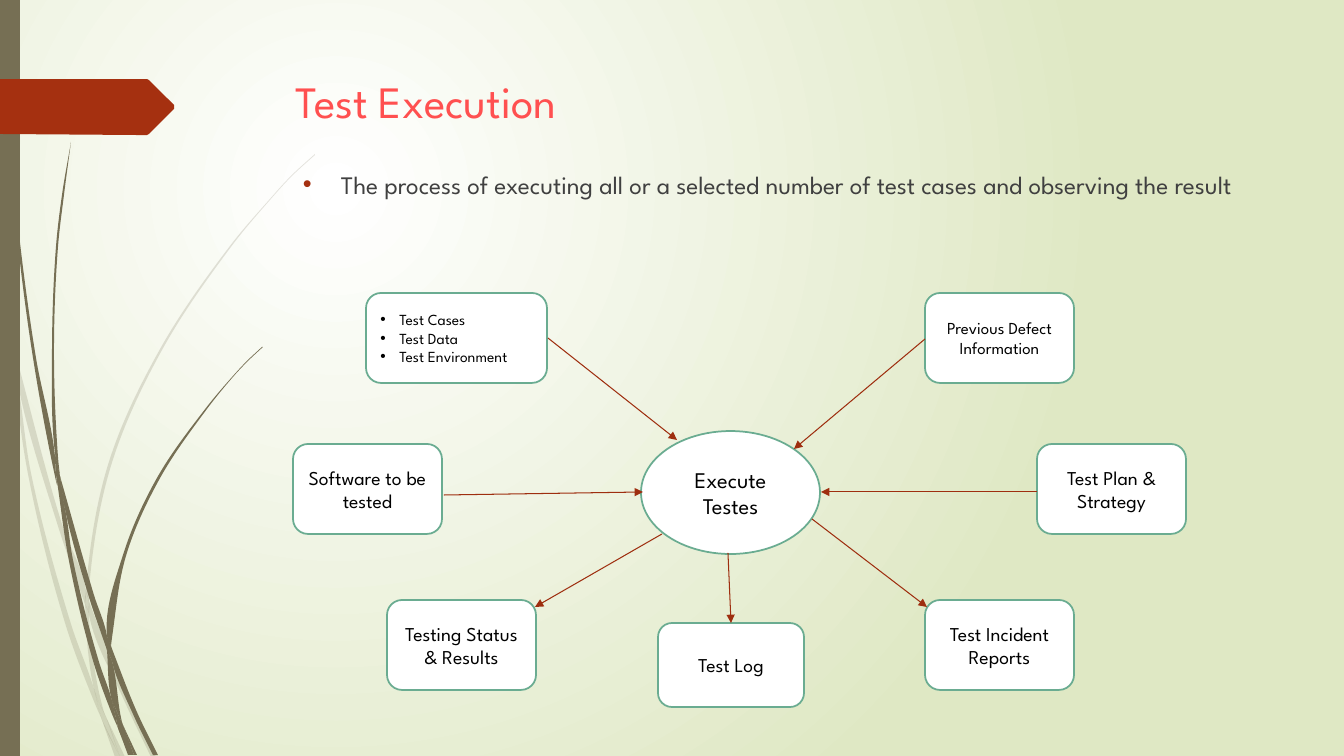
"""Build the Test Execution slide: a hub with its inputs and outputs over a background of grass stems."""
import math

import pptx
import pptx.dml.color
import pptx.enum.shapes
import pptx.enum.text
import pptx.oxml.ns
import pptx.util

PIXEL = 914400 / 100.8
FONT = "League Spartan"
COLORS = {"white": "FFFFFF", "pale": "DFE8C4", "olive": "766F54", "rust": "A53010", "title": "FF5050",
          "body": "404040", "black": "000000", "green": "6AAC91", "arrow": "9E2E0F"}
Shape = pptx.enum.shapes.MSO_SHAPE
Align = pptx.enum.text.PP_ALIGN
Anchor = pptx.enum.text.MSO_ANCHOR
qn = pptx.oxml.ns.qn
rgb = {name: pptx.dml.color.RGBColor.from_string(value) for name, value in COLORS.items()}


def paint(shape, fill, line=None):
    """Give a shape a flat fill and an optional outline."""
    shape.shadow.inherit = False
    shape.fill.solid()
    shape.fill.fore_color.rgb = rgb[fill]
    if line:
        shape.line.color.rgb = rgb[line]
        shape.line.width = pptx.util.Pt(1.25)
    else:
        shape.line.fill.background()


def write(shape, lines, size, color, align, anchor, indent=0, bullet="black"):
    """Write one paragraph per line, bulleted when an indent is given."""
    for name, value in {"word_wrap": True, "vertical_anchor": anchor}.items():
        setattr(shape.text_frame, name, value)
    for index, line in enumerate(lines):
        para = shape.text_frame.add_paragraph() if index else shape.text_frame.paragraphs[0]
        para.alignment = align
        span = para.add_run()
        span.text = line
        for name, value in {"name": FONT, "size": pptx.util.Pt(size)}.items():
            setattr(span.font, name, value)
        span.font.color.rgb = rgb[color]
        if indent:
            settings = para._p.get_or_add_pPr()
            settings.set("marL", str(round(indent * PIXEL)))
            settings.set("indent", str(round(-indent * PIXEL)))
            tint = settings.makeelement(qn("a:buClr"), {})
            tint.append(tint.makeelement(qn("a:srgbClr"), {"val": COLORS[bullet]}))
            settings.append(tint)
            settings.append(settings.makeelement(qn("a:buFont"), {"typeface": "Arial"}))
            settings.append(settings.makeelement(qn("a:buChar"), {"char": "•"}))


deck = pptx.Presentation()
deck.slide_width, deck.slide_height = round(1344 * PIXEL), round(756 * PIXEL)
page = deck.slides.add_slide(deck.slide_layouts[6])

backdrop = page.background.fill
backdrop.gradient()
for stop, position, name in zip(backdrop.gradient_stops, (0, 1), ("white", "pale")):
    stop.position = position
    stop.color.rgb = rgb[name]
linear = next(page.element.iter(qn("a:lin")))
radial = linear.makeelement(qn("a:path"), {"path": "circle"})
radial.append(radial.makeelement(
    qn("a:fillToRect"), {"l": "50000", "t": "50000", "r": "100000", "b": "100000"}))
linear.getparent().replace(linear, radial)

bar = page.shapes.add_shape(Shape.RECTANGLE, 0, 0, round(20 * PIXEL), deck.slide_height)
paint(bar, "olive")

PALE_STEMS = [
    [(11, 353), (9, 325), (0, 284), (0, 301), (10, 347)],
    [(58, 526), (85, 604), (86, 591), (62, 524), (14, 348), (17, 379)],
    [(93, 612), (89, 601), (89, 615), (124, 700), (151, 757), (156, 757), (128, 698)],
    [(120, 757), (125, 757), (106, 717)],
    [(94, 689), (71, 624), (31, 473), (17, 379), (11, 353), (28, 474), (66, 626), (93, 699),
     (102, 720), (100, 713)],
    [(85, 604), (88, 651), (94, 689), (97, 698), (106, 717), (104, 712), (92, 651), (89, 615), (89, 613)],
    [(89, 589), (111, 466), (161, 352), (231, 247), (270, 200), (292, 176), (315, 155), (315, 154),
     (291, 176), (270, 199), (230, 246), (159, 351), (108, 465), (86, 589), (86, 591), (89, 601)],
    [(102, 720), (115, 757), (120, 757)],
    [(89, 613), (89, 615), (89, 601), (86, 591), (85, 604)],
    [(97, 698), (94, 689), (100, 713), (102, 720), (120, 757), (106, 717)],
]
DARK_STEMS = [
    [(7, 111), (17, 235), (33, 358), (56, 481), (57, 485), (55, 461), (55, 457), (36, 358), (19, 234),
     (8, 110), (5, 48), (4, 0), (3, 0), (4, 48)],
    [(89, 597), (107, 650), (107, 638), (107, 636), (94, 595), (60, 476), (65, 509)],
    [(114, 654), (111, 646), (112, 661), (133, 714), (153, 755), (158, 755), (137, 712)],
    [(111, 697), (99, 662), (73, 560), (65, 509), (57, 481), (69, 561), (94, 664), (112, 714),
     (118, 728), (117, 723)],
    [(60, 476), (58, 457), (54, 352), (58, 247), (64, 195), (71, 142), (62, 195), (56, 247), (52, 352),
     (55, 453)],
    [(134, 755), (137, 755), (123, 725)],
    [(57, 481), (65, 509), (60, 476), (55, 453), (55, 457)],
    [(112, 638), (126, 556), (159, 480), (207, 409), (233, 377), (247, 362), (263, 347), (262, 347),
     (247, 361), (233, 376), (206, 408), (157, 478), (123, 555), (107, 636), (111, 646)],
    [(118, 728), (128, 755), (132, 755)],
    [(107, 650), (111, 697), (117, 712), (123, 725), (122, 722), (112, 661), (110, 656)],
    [(107, 636), (107, 638), (107, 650), (110, 656), (112, 661), (111, 646)],
    [(117, 712), (111, 697), (117, 723), (118, 728), (131, 755), (134, 755), (123, 725)],
]
TAG = [[(174, 109), (149, 134), (147, 135), (137, 135), (0, 134), (0, 79), (137, 79), (147, 79),
        (149, 80), (174, 105)]]
SMOOTH_TURN = math.radians(40)
for color, opacity, curved, outlines in [("olive", 20, True, PALE_STEMS), ("olive", 100, True, DARK_STEMS),
                                         ("rust", 100, False, TAG)]:
    for points in outlines:
        corners = [(x * PIXEL, y * PIXEL) for x, y in points + points[:1]]
        builder = page.shapes.build_freeform(*corners[0], scale=1.0)
        builder.add_line_segments(corners[1:], close=True)
        piece = builder.convert_to_shape()
        paint(piece, color)
        if opacity < 100:
            tone = next(piece.element.spPr.iter(qn("a:srgbClr")))
            tone.append(tone.makeelement(qn("a:alpha"), {"val": str(opacity * 1000)}))
        if not curved:
            continue
        count = len(points)
        headings = [math.atan2(y2 - y1, x2 - x1) for (x1, y1), (x2, y2) in zip(corners, corners[1:])]
        turns = [math.remainder(headings[i] - headings[i - 1], math.tau) for i in range(count)]
        bends = [turn / 2 if abs(turn) < SMOOTH_TURN else 0 for turn in turns]
        for i, segment in enumerate(list(piece.element.spPr.iter(qn("a:lnTo")))):
            (x1, y1), (x2, y2) = corners[i:i + 2]
            reach = math.dist((x1, y1), (x2, y2)) / 3
            leave, arrive = headings[i] - bends[i], headings[i] + bends[(i + 1) % count]
            controls = [(x1 + reach * math.cos(leave), y1 + reach * math.sin(leave)),
                        (x2 - reach * math.cos(arrive), y2 - reach * math.sin(arrive)), (x2, y2)]
            curve = segment.makeelement(qn("a:cubicBezTo"), {})
            for x, y in controls:
                curve.append(curve.makeelement(
                    qn("a:pt"), {"x": str(round(x - piece.left)), "y": str(round(y - piece.top))}))
            segment.getparent().replace(segment, curve)

title = page.shapes.add_textbox(*(round(n * PIXEL) for n in (286, 69, 983, 141)))
write(title, ["Test Execution"], 32, "title", Align.LEFT, Anchor.TOP)
body = page.shapes.add_textbox(*(round(n * PIXEL) for n in (293, 164, 975, 102)))
write(body, ["The process of executing all or a selected number of test cases and observing the result"],
      18, "body", Align.LEFT, Anchor.TOP, 38, "rust")

NODES = [
    ((641, 431, 179, 123), 16, ["Execute Testes"]),
    ((658, 623, 146, 84), 14, ["Test Log"]),
    ((925, 600, 149, 90), 14, ["Test Incident Reports"]),
    ((1037, 444, 149, 90), 14, ["Test Plan & Strategy"]),
    ((925, 293, 149, 90), 12, ["Previous Defect Information"]),
    ((387, 600, 149, 90), 14, ["Testing Status & Results"]),
    ((293, 444, 149, 90), 14, ["Software to be tested"]),
    ((366, 293, 181, 90), 11, ["Test Cases", "Test Data", "Test Environment"]),
]
for index, (place, size, lines) in enumerate(NODES):
    kind = Shape.ROUNDED_RECTANGLE if index else Shape.OVAL
    node = page.shapes.add_shape(kind, *(round(n * PIXEL) for n in place))
    paint(node, "white", "green")
    listed = len(lines) > 1
    write(node, lines, size, "black", Align.LEFT if listed else Align.CENTER, Anchor.MIDDLE, 19 * listed)

ARROWS = [(548, 338, 677, 440), (444, 495, 643, 492), (728, 553, 731, 623), (662, 534, 535, 607),
          (812, 519, 927, 607), (1037, 492, 821, 492), (925, 339, 794, 449)]
for ends in ARROWS:
    arrow = page.shapes.add_connector(pptx.enum.shapes.MSO_CONNECTOR.STRAIGHT,
                                      *(round(n * PIXEL) for n in ends))
    arrow.line.color.rgb = rgb["arrow"]
    arrow.line.width = pptx.util.Pt(0.75)
    stroke = arrow.line._get_or_add_ln()
    stroke.append(stroke.makeelement(qn("a:tailEnd"), {"type": "triangle"}))
    arrow.element.spPr.append(stroke.makeelement(qn("a:effectLst"), {}))

deck.save("out.pptx")
